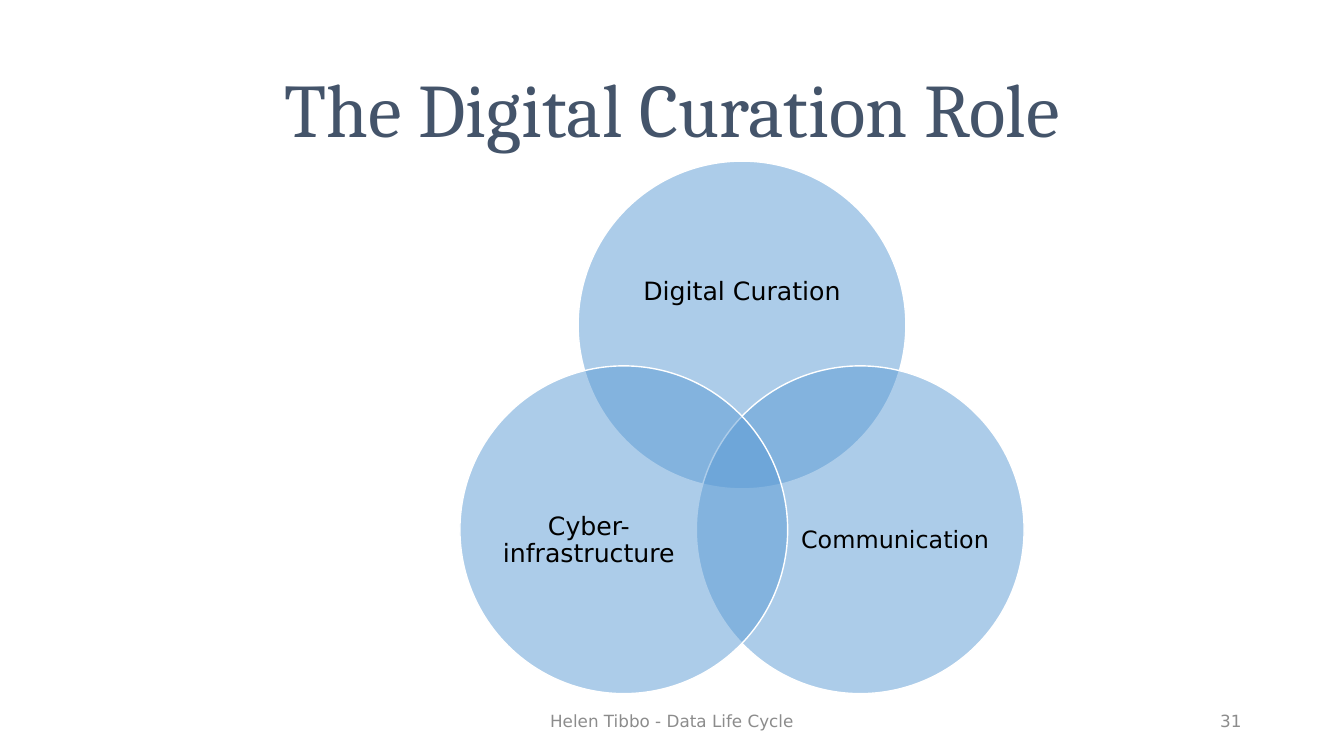
from dataclasses import dataclass
from math import cos, radians, sin

from lxml.etree import SubElement
from pptx import Presentation
from pptx.dml.color import RGBColor
from pptx.enum.shapes import MSO_SHAPE as Shape
from pptx.enum.text import MSO_ANCHOR as Anchor, PP_ALIGN as Align
from pptx.oxml.ns import qn
from pptx.slide import Slide
from pptx.text.text import TextFrame
from pptx.util import Cm, Pt

SLATE = RGBColor(0x44, 0x54, 0x6A)
GRAY = RGBColor(0x8C, 0x8C, 0x8C)
BLUE = RGBColor(0x5B, 0x9B, 0xD5)
WHITE = RGBColor(0xFF, 0xFF, 0xFF)
BLACK = RGBColor(0, 0, 0)
HEAD_FONT, BODY_FONT = "Cambria", "DejaVu Sans"

# Venn geometry in centimetres
CENTER_X, CENTER_Y = 18.7, 11.63
ORBIT, DIAMETER = 3.44, 8.26


@dataclass
class Circle:
    """One Venn circle; label offsets are measured from its centre."""
    label: str
    angle: float
    dx: float
    dy: float
    width: float
    height: float
    size: float = 18


CIRCLES = [
    Circle("Digital Curation", -90, 0, -0.83, 6.07, 3.71),
    Circle("Communication", 30, 0.88, 0.28, 4.95, 4.55, 17),
    Circle("Cyber-infrastructure", 150, -0.88, 0.28, 4.95, 4.55),
]


def write(tf: TextFrame, text: str, size: float, color: RGBColor,
          align: Align = Align.CENTER, font: str = BODY_FONT) -> None:
    """Fill a text frame with one formatted, vertically centred paragraph."""
    tf.text = text
    tf.word_wrap = True
    tf.vertical_anchor = Anchor.MIDDLE
    p = tf.paragraphs[0]
    p.alignment = align
    f = p.runs[0].font
    f.name, f.size = font, Pt(size)
    f.color.rgb = color


def add_text(s: Slide, x: float, y: float, w: float, h: float) -> TextFrame:
    """Add a text box, measured in centimetres, and return its frame."""
    return s.shapes.add_textbox(Cm(x), Cm(y), Cm(w), Cm(h)).text_frame


def add_circle(s: Slide, c: Circle) -> None:
    """Draw a half-transparent circle and its label."""
    x = CENTER_X + ORBIT * cos(radians(c.angle))
    y = CENTER_Y + ORBIT * sin(radians(c.angle))
    r = DIAMETER / 2
    sp = s.shapes.add_shape(Shape.OVAL, Cm(x - r), Cm(y - r),
                            Cm(DIAMETER), Cm(DIAMETER))
    sp.shadow.inherit = False
    sp.fill.solid()
    sp.fill.fore_color.rgb = BLUE
    fill = sp.fill._xPr.find(qn("a:solidFill"))
    SubElement(fill[0], qn("a:alpha"), val="50000")
    sp.line.color.rgb = WHITE
    sp.line.width = Pt(1)

    tf = add_text(s, x + c.dx - c.width / 2, y + c.dy - c.height / 2,
                  c.width, c.height)
    tf.margin_left = tf.margin_right = tf.margin_top = tf.margin_bottom = 0
    write(tf, c.label, c.size, BLACK)
    tf.paragraphs[0].line_spacing = 0.9


prs = Presentation()
prs.slide_width, prs.slide_height = Cm(33.87), Cm(19.05)
s = prs.slides.add_slide(prs.slide_layouts.get_by_name("Title Only"))

title = s.shapes.title
title.left, title.top = Cm(2.33), Cm(1.01)
title.width, title.height = Cm(29.21), Cm(3.68)
write(title.text_frame, "The Digital Curation Role", 54, SLATE, font=HEAD_FONT)
title.text_frame.paragraphs[0].line_spacing = 0.9

write(add_text(s, 11.22, 17.66, 11.43, 1.01),
      "Helen Tibbo - Data Life Cycle", 12, GRAY)
write(add_text(s, 23.92, 17.66, 7.62, 1.01), "31", 12, GRAY, Align.RIGHT)

for circle in CIRCLES:
    add_circle(s, circle)

prs.save("out.pptx")
